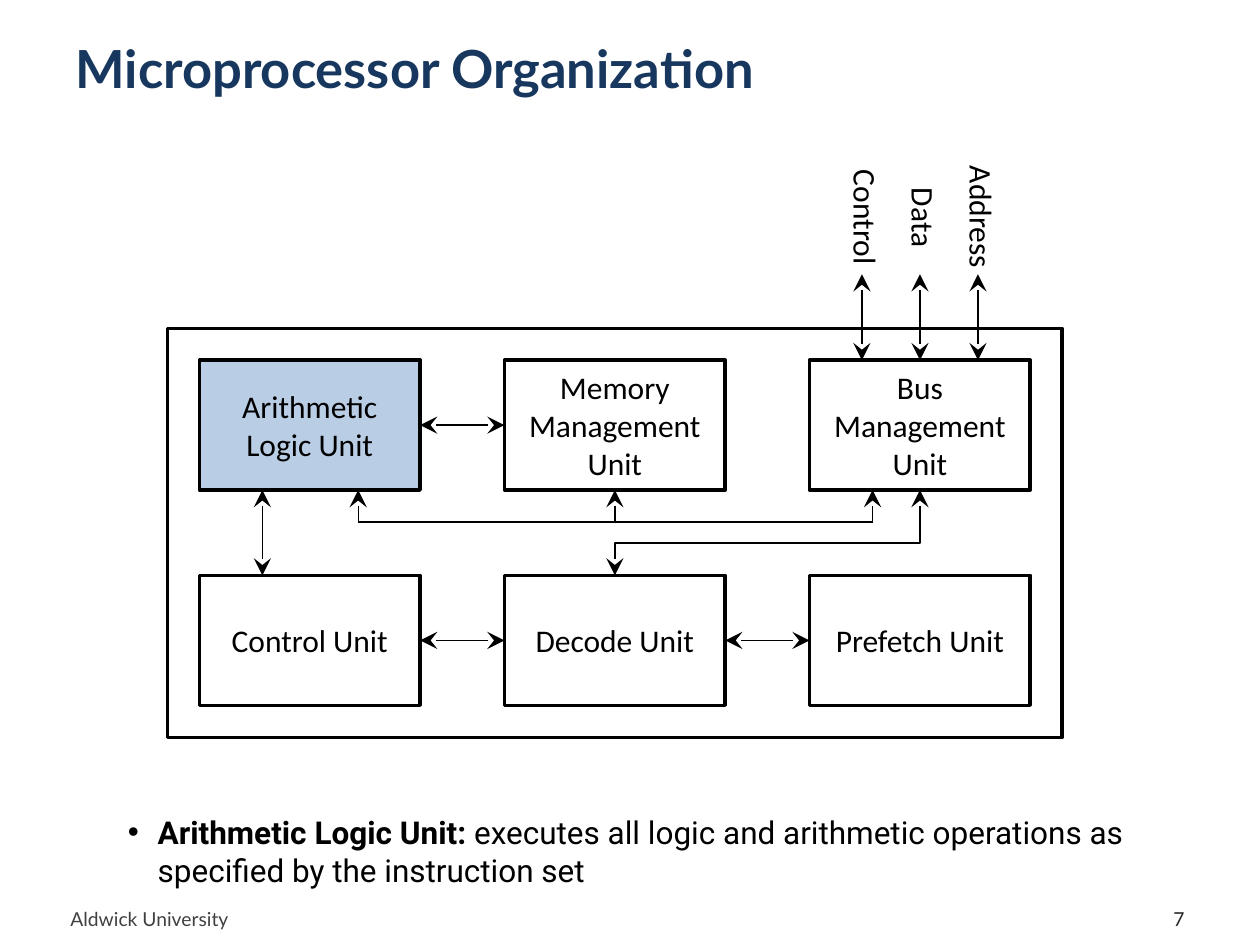
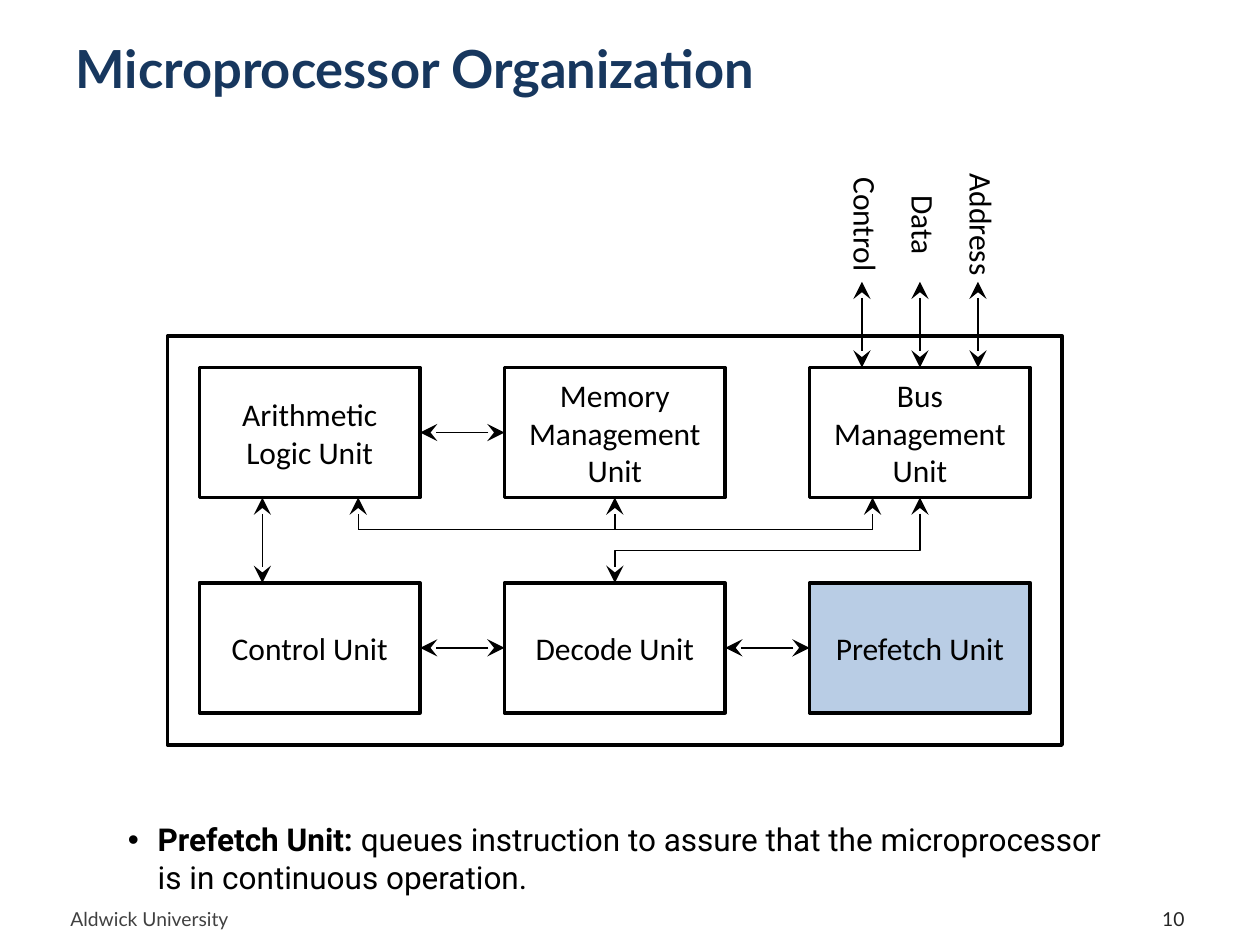
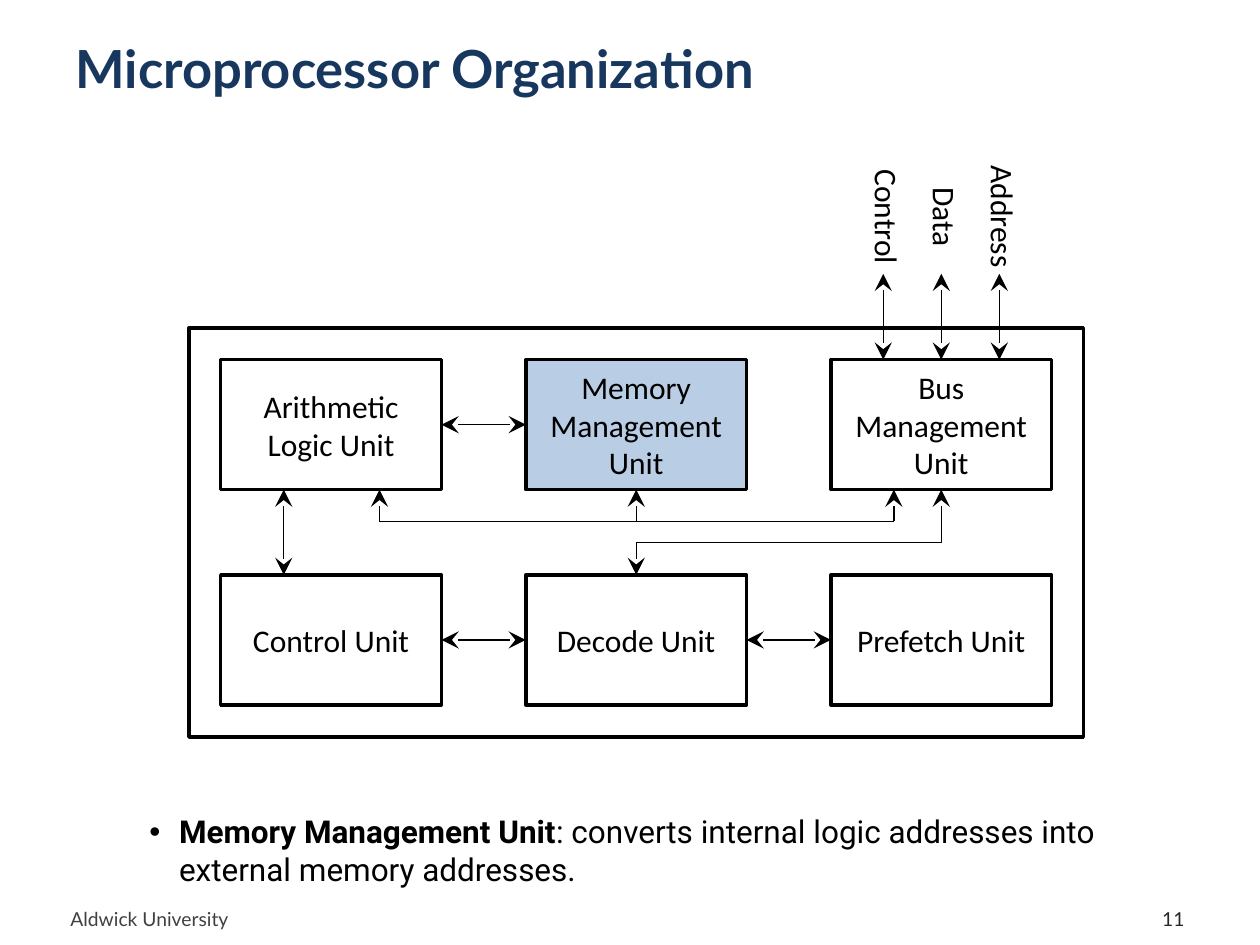
from pptx import Presentation
from pptx.dml.color import RGBColor
from pptx.enum.shapes import MSO_CONNECTOR, MSO_SHAPE
from pptx.enum.text import MSO_ANCHOR, MSO_AUTO_SIZE, PP_ALIGN
from pptx.oxml.ns import qn
from pptx.util import Cm, Pt
from lxml.etree import SubElement

# Colours and fonts
NAVY = RGBColor(0x17, 0x37, 0x5E)
BLACK = RGBColor(0x00, 0x00, 0x00)
NUMBER_GREY = RGBColor(0x26, 0x26, 0x26)
FOOTER_GREY = RGBColor(0x40, 0x40, 0x40)
HIGHLIGHT = RGBColor(0xB9, 0xCD, 0xE5)
HEADING_FONT, BODY_FONT, DIAGRAM_FONT = "Lato", "Roboto", "Calibri"

TITLE = "Microprocessor Organization"
FOOTER = "Aldwick University"

# Diagram grid, in cm
FRAME_W, FRAME_H = 18.03, 8.25
MARGIN = 0.64
UNIT_W, UNIT_H = 4.45, 2.62
COL_STEP, ROW_STEP = 6.15, 4.34
UNITS = [
    ["Arithmetic Logic Unit", "Memory Management Unit", "Bus Management Unit"],
    ["Control Unit", "Decode Unit", "Prefetch Unit"],
]
SIGNALS = [("Control", 2.51), ("Data", 1.78), ("Address", 2.67)]
SIGNAL_STEP, SIGNAL_LENGTH = 1.17, 1.73
TOP, LEFT, BOTTOM, RIGHT = range(4)

# Page number, highlighted unit, bold and plain text, frame left and top
SLIDES = [
    (7, "Arithmetic Logic Unit", "Arithmetic Logic Unit:",
     " executes all logic and arithmetic operations as specified by the instruction set",
     3.38, 6.62),
    (10, "Prefetch Unit", "Prefetch Unit:",
     " queues instruction to assure that the microprocessor is in continuous operation.",
     3.38, 6.77),
    (11, "Memory Management Unit", "Memory Management Unit",
     ": converts internal logic addresses into external memory addresses.",
     3.81, 6.61),
]


class Deck:
    def __init__(self):
        self.prs = Presentation()
        self.prs.slide_width, self.prs.slide_height = Cm(25.4), Cm(19.05)
        self.s = None

    def new_slide(self, number):
        self.s = self.prs.slides.add_slide(self.prs.slide_layouts[5])
        title = self.s.shapes.title
        title.left, title.top, title.width, title.height = Cm(1.27), Cm(0.2), Cm(22.86), Cm(2.34)
        tf = title.text_frame
        tf.text = TITLE
        tf.vertical_anchor = MSO_ANCHOR.MIDDLE
        self.style(tf.paragraphs[0], HEADING_FONT, 30, NAVY, bold=True)
        self.text(str(number), 18.21, 18.01, 5.92, 1.02, HEADING_FONT, 11, NUMBER_GREY,
                  PP_ALIGN.RIGHT)
        self.text(FOOTER, 1.17, 18.01, 8.05, 1.02, HEADING_FONT, 11, FOOTER_GREY)

    def style(self, p, font, size, color, align=PP_ALIGN.LEFT, bold=None):
        p.alignment = align
        p.font.name, p.font.size, p.font.bold = font, Pt(size), bold
        p.font.color.rgb = color

    def text(self, text, x, y, w, h, font, size, color, align=PP_ALIGN.LEFT):
        tb = self.s.shapes.add_textbox(Cm(x), Cm(y), Cm(w), Cm(h))
        tf = tb.text_frame
        tf.text = text
        tf.word_wrap = True
        tf.vertical_anchor = MSO_ANCHOR.MIDDLE
        self.style(tf.paragraphs[0], font, size, color, align)
        return tb

    def vertical_label(self, text, cx, cy, w, h=1.04):
        tb = self.text(text, cx - w / 2, cy - h / 2, w, h, DIAGRAM_FONT, 18, BLACK)
        tb.rotation = 90
        tf = tb.text_frame
        tf.word_wrap = False
        tf.vertical_anchor = MSO_ANCHOR.TOP
        tf.auto_size = MSO_AUTO_SIZE.SHAPE_TO_FIT_TEXT

    def bullet(self, lead, rest, x, y, w, h):
        tb = self.s.shapes.add_textbox(Cm(x), Cm(y), Cm(w), Cm(h))
        tf = tb.text_frame
        tf.word_wrap = True
        tf.auto_size = MSO_AUTO_SIZE.SHAPE_TO_FIT_TEXT
        p = tf.paragraphs[0]
        self.style(p, BODY_FONT, 18, BLACK)
        for text, bold in ((lead, True), (rest, False)):
            r = p.add_run()
            r.text, r.font.bold = text, bold
            r.font.name, r.font.size = BODY_FONT, Pt(18)
            r.font.color.rgb = BLACK
        pPr = p._p.get_or_add_pPr()
        pPr.set("marL", str(Cm(0.6)))
        pPr.set("indent", str(-Cm(0.6)))
        font, char = pPr.makeelement(qn("a:buFont")), pPr.makeelement(qn("a:buChar"))
        font.set("typeface", "Arial")
        char.set("char", "•")
        pPr.insert(0, font)
        pPr.insert(1, char)

    def box(self, x, y, w, h, text="", fill=None):
        sp = self.s.shapes.add_shape(MSO_SHAPE.RECTANGLE, Cm(x), Cm(y), Cm(w), Cm(h))
        sp.shadow.inherit = False
        sp.line.color.rgb, sp.line.width = BLACK, Pt(2)
        if fill is None:
            sp.fill.background()
        else:
            sp.fill.solid()
            sp.fill.fore_color.rgb = fill
        if text:
            tf = sp.text_frame
            tf.text = text
            tf.word_wrap = True
            tf.vertical_anchor = MSO_ANCHOR.MIDDLE
            self.style(tf.paragraphs[0], DIAGRAM_FONT, 18, BLACK, PP_ALIGN.CENTER)
        return sp

    def line(self, x1, y1, x2, y2, heads="both", begin=None, end=None,
             kind=MSO_CONNECTOR.STRAIGHT):
        """Draw a connector; begin and end are optional (shape, side) pairs."""
        c = self.s.shapes.add_connector(kind, Cm(x1), Cm(y1), Cm(x2), Cm(y2))
        if begin:
            c.begin_connect(*begin)
        if end:
            c.end_connect(*end)
        c.line.color.rgb, c.line.width = BLACK, Pt(0.75)
        ends = {"both": ("headEnd", "tailEnd"), "end": ("tailEnd",), "none": ()}[heads]
        for tag in ends:
            SubElement(c.line._get_or_add_ln(), qn("a:" + tag), type="stealth", w="lg", len="lg")
        SubElement(c._element.spPr, qn("a:effectLst"))
        return c

    def elbow(self, x1, y1, x2, y2, bend):
        """Draw a vertical-first elbow going down and left."""
        cx, cy = (x1 + x2) / 2, (y1 + y2) / 2
        half_w, half_h = (y2 - y1) / 2, (x1 - x2) / 2
        c = self.line(cx - half_w, cy - half_h, cx + half_w, cy + half_h,
                      kind=MSO_CONNECTOR.ELBOW)
        spPr = c._element.spPr
        spPr.find(qn("a:xfrm")).set("rot", str(90 * 60000))
        geom = spPr.find(qn("a:prstGeom"))
        av = geom.find(qn("a:avLst"))
        if av is None:
            av = SubElement(geom, qn("a:avLst"))
        SubElement(av, qn("a:gd"), name="adj1", fmla=f"val {round(bend * 100000)}")

    def diagram(self, x, y, highlighted):
        # Frame and units
        self.box(x, y, FRAME_W, FRAME_H)
        cols = [x + MARGIN + i * COL_STEP for i in range(3)]
        rows = [y + MARGIN + i * ROW_STEP for i in range(2)]
        centers = [col + UNIT_W / 2 for col in cols]
        (alu, memory, bus), (control, decode, prefetch) = [
            [self.box(col, row, UNIT_W, UNIT_H, name, HIGHLIGHT if name == highlighted else None)
             for col, name in zip(cols, names)]
            for row, names in zip(rows, UNITS)]

        # Links between neighbours
        for right, left in ((memory, alu), (decode, control), (prefetch, decode)):
            self.line(0, 0, 0, 0, begin=(right, LEFT), end=(left, RIGHT))
        bottom = rows[0] + UNIT_H
        self.line(cols[0] + 1.27, bottom, cols[0] + 1.27, rows[1])

        # Shared rail under the upper row
        rail, rail_left, rail_right = bottom + 0.64, cols[0] + 3.2, cols[2] + 1.27
        self.line(rail_left, rail, rail_right, rail, heads="none")
        for rail_x, end in ((rail_left, None), (centers[1], (memory, BOTTOM)), (rail_right, None)):
            self.line(rail_x, rail, rail_x, bottom, heads="end", end=end)
        self.elbow(centers[2], bottom, centers[1], rows[1], 0.62)

        # External signals
        for i, (name, width) in enumerate(SIGNALS):
            signal_x = centers[2] + (i - 1) * SIGNAL_STEP
            self.vertical_label(name, signal_x + 0.07, rows[0] - 2.83, width)
            self.line(signal_x, rows[0] - SIGNAL_LENGTH, signal_x, rows[0],
                      end=(bus, TOP) if i == 1 else None)


def main():
    deck = Deck()
    for number, highlighted, lead, rest, x, y in SLIDES:
        deck.new_slide(number)
        deck.bullet(lead, rest, x - 1.05, y + 9.64, 20.65, 1.8)
        deck.diagram(x, y, highlighted)
    deck.prs.save("out.pptx")


if __name__ == "__main__":
    main()
